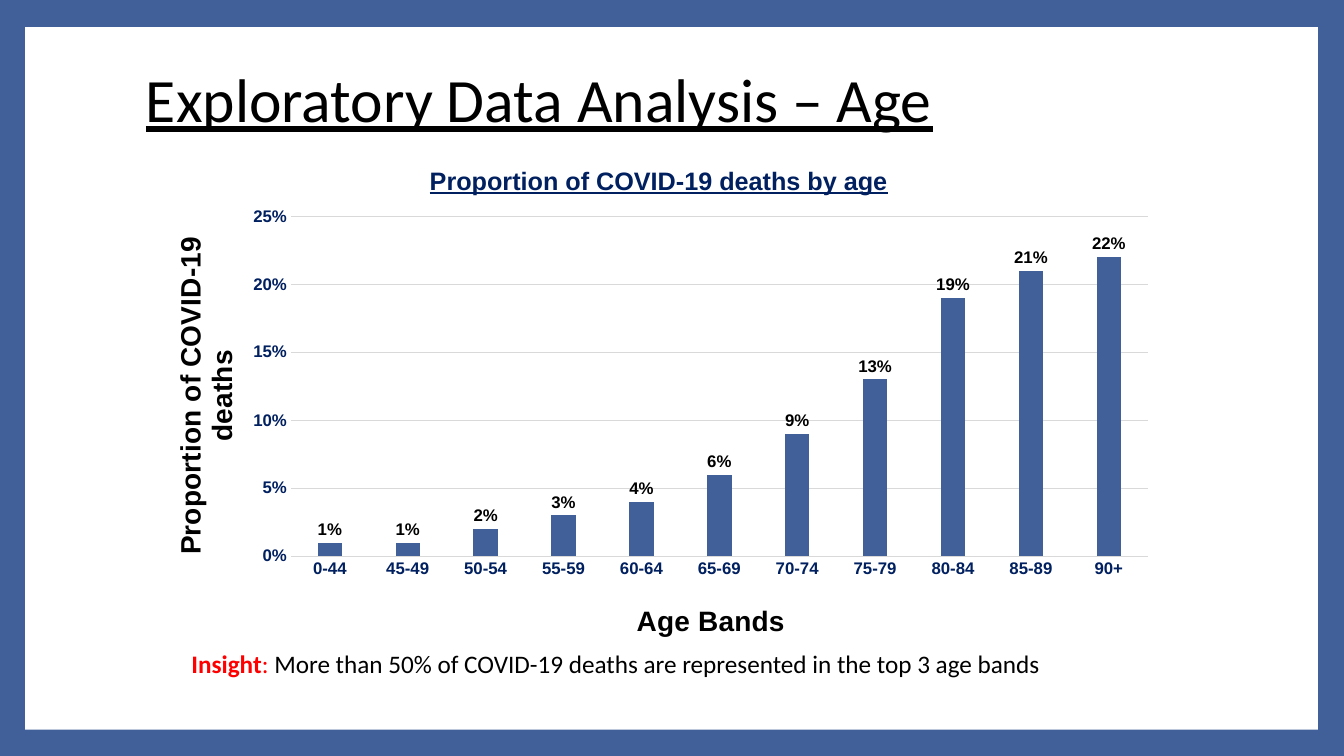
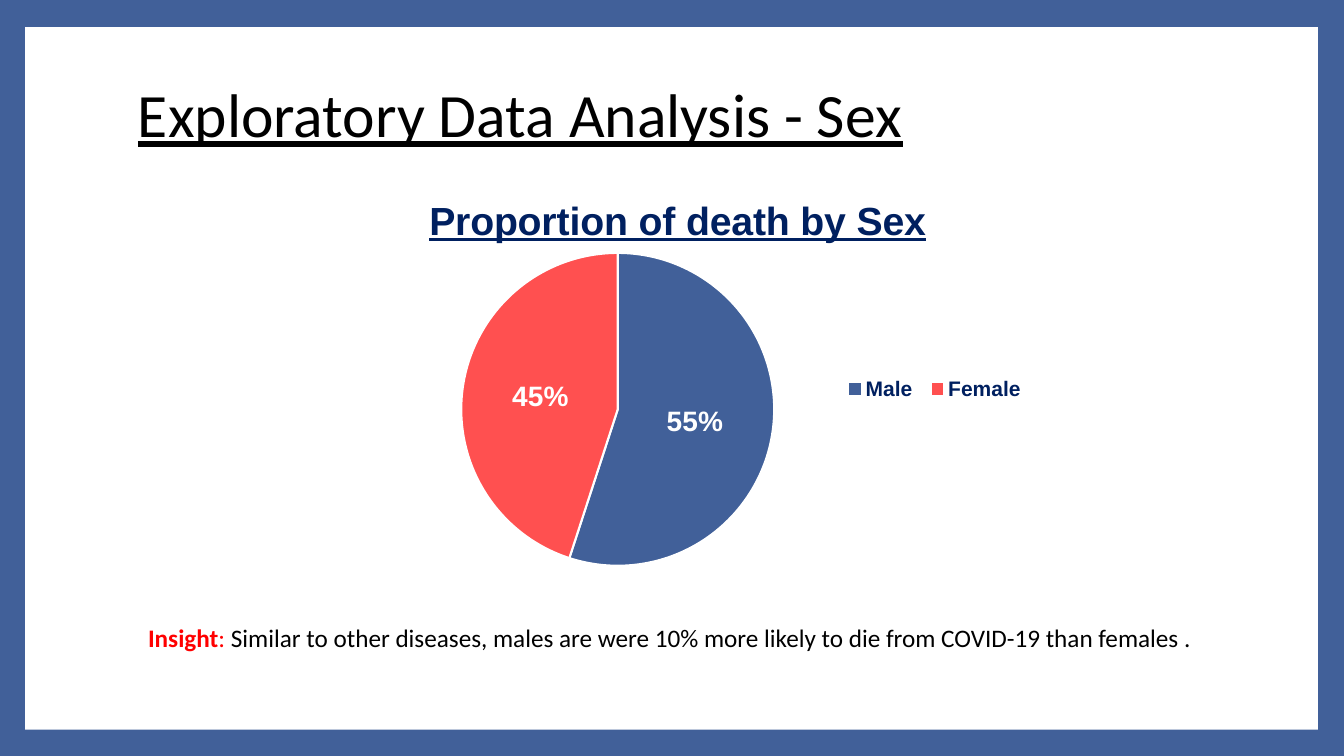
"""Build two slides on COVID-19 deaths by age and by sex."""
from lxml import etree
from pptx import Presentation
from pptx.chart.data import CategoryChartData
from pptx.dml.color import RGBColor
from pptx.enum.chart import XL_CHART_TYPE, XL_LABEL_POSITION, XL_LEGEND_POSITION, XL_TICK_MARK
from pptx.enum.shapes import MSO_SHAPE
from pptx.enum.text import MSO_ANCHOR, PP_ALIGN
from pptx.oxml.ns import qn
from pptx.util import Inches, Pt

COLUMN = XL_CHART_TYPE.COLUMN_CLUSTERED
PIE = XL_CHART_TYPE.PIE
OUTSIDE_END = XL_LABEL_POSITION.OUTSIDE_END
CENTER = XL_LABEL_POSITION.CENTER
LEGEND_RIGHT = XL_LEGEND_POSITION.RIGHT
NO_TICK = XL_TICK_MARK.NONE
RECTANGLE = MSO_SHAPE.RECTANGLE
MIDDLE = MSO_ANCHOR.MIDDLE
LEFT = PP_ALIGN.LEFT


class Theme:
    blue = RGBColor.from_string("416099")
    navy = RGBColor.from_string("002060")
    coral = RGBColor.from_string("FF5050")
    red = RGBColor.from_string("FF0000")
    grid = RGBColor.from_string("D9D9D9")
    black = RGBColor.from_string("000000")
    white = RGBColor.from_string("FFFFFF")
    text_face = "Calibri"
    chart_face = "Arial"
    title_size = 44
    insight_size = 18
    axis_title_size = 20
    label_size = 12
    pie_label_size = 20
    legend_size = 15


def write(para, text, size, color=Theme.black, face=Theme.text_face, bold=False, underline=False):
    span = para.add_run()
    span.text = text
    font = span.font
    font.size, font.name, font.bold, font.underline = Pt(size), face, bold, underline
    font.color.rgb = color


def place(element, index, **fractions):
    for old in element.findall(qn("c:layout")):
        element.remove(old)
    layout = etree.Element(qn("c:layout"))
    manual = etree.SubElement(layout, qn("c:manualLayout"))
    if element.tag == qn("c:plotArea"):
        etree.SubElement(manual, qn("c:layoutTarget"), val="inner")
    for mode in ("xMode", "yMode"):
        etree.SubElement(manual, qn(f"c:{mode}"), val="edge")
    for key, value in fractions.items():
        etree.SubElement(manual, qn(f"c:{key}"), val=str(value))
    element.insert(index, layout)


pages = [
    {
        "title": "Exploratory Data Analysis – Age",
        "title_at": (1.35, 0.28),
        "chart_at": (1.35, 1.38, 10.24, 5.11),
        "kind": COLUMN,
        "categories": ["0-44", "45-49", "50-54", "55-59", "60-64", "65-69",
                       "70-74", "75-79", "80-84", "85-89", "90+"],
        "values": [0.01, 0.01, 0.02, 0.03, 0.04, 0.06, 0.09, 0.13, 0.19, 0.21, 0.22],
        "chart_title": "Proportion of COVID-19 deaths by age",
        "chart_title_size": 18,
        "chart_title_place": {"x": 0.28, "y": 0.04},
        "plot_place": {"x": 0.15, "y": 0.15, "w": 0.83, "h": 0.66},
        "label_size": Theme.label_size,
        "label_color": Theme.black,
        "label_position": OUTSIDE_END,
        "insight": "More than 50% of COVID-19 deaths are represented in the top 3 age bands",
        "insight_at": (1.8, 6.32, 9.74, 0.53),
    },
    {
        "title": "Exploratory Data Analysis - Sex",
        "title_at": (1.27, 0.43),
        "chart_at": (2.79, 1.71, 7.76, 4.09),
        "kind": PIE,
        "categories": ["Male", "Female"],
        "values": [55, 45],
        "chart_title": "Proportion of death by Sex",
        "chart_title_size": 28,
        "chart_title_place": {"x": 0.18, "y": 0.04},
        "plot_place": {"x": 0.23, "y": 0.19, "w": 0.4, "h": 0.77},
        "label_size": Theme.pie_label_size,
        "label_color": Theme.white,
        "label_position": CENTER,
        "insight": "Similar to other diseases, males are were 10% more likely to die "
                   "from COVID-19 than females .",
        "insight_at": (1.37, 5.79, 11.13, 1.06),
    },
]

deck = Presentation()
deck.slide_width, deck.slide_height = Inches(13.33), Inches(7.5)
blank = deck.slide_layouts[6]
charts = []

for content in pages:
    page = deck.slides.add_slide(blank)
    page.background.fill.solid()
    page.background.fill.fore_color.rgb = Theme.blue

    panel = page.shapes.add_shape(RECTANGLE, Inches(0.25), Inches(0.27), Inches(12.82), Inches(6.97))

    left, top = content["title_at"]
    title = page.shapes.add_textbox(Inches(left), Inches(top), Inches(10.8), Inches(1.48))
    title.text_frame.word_wrap = True
    title.text_frame.vertical_anchor = MIDDLE
    para = title.text_frame.paragraphs[0]
    para.line_spacing = 0.9
    write(para, content["title"], Theme.title_size, underline=True)

    data = CategoryChartData()
    data.categories = content["categories"]
    data.add_series("Series 1", content["values"])
    chart_at = [Inches(length) for length in content["chart_at"]]
    chart = page.shapes.add_chart(content["kind"], *chart_at, data).chart
    charts.append(chart)
    chart.font.name, chart.font.size = Theme.chart_face, Pt(10)
    chart.font.color.rgb = Theme.black
    chart.has_legend = False
    chart.has_title = True
    write(chart.chart_title.text_frame.paragraphs[0], content["chart_title"],
          content["chart_title_size"], Theme.navy, Theme.chart_face, bold=True, underline=True)
    chart.chart_title.include_in_layout = False
    place(chart.chart_title._element, 1, **content["chart_title_place"])
    plot = chart.plots[0]
    place(plot._element.getparent(), 0, **content["plot_place"])
    plot.has_data_labels = True
    labels = plot.data_labels
    labels.number_format, labels.number_format_is_linked = "0%", False
    labels.position = content["label_position"]
    labels.show_value = content["kind"] == COLUMN
    labels.show_percentage = content["kind"] == PIE
    labels.font.name, labels.font.bold = Theme.chart_face, True
    labels.font.size = Pt(content["label_size"])
    labels.font.color.rgb = content["label_color"]

    insight_at = [Inches(length) for length in content["insight_at"]]
    insight = page.shapes.add_shape(RECTANGLE, *insight_at)
    insight.text_frame.word_wrap = True
    insight.text_frame.vertical_anchor = MIDDLE
    para = insight.text_frame.paragraphs[0]
    para.alignment = LEFT
    write(para, "Insight", Theme.insight_size, Theme.red, bold=True)
    write(para, ": ", Theme.insight_size, Theme.red)
    write(para, content["insight"], Theme.insight_size)

    for box in (panel, insight):
        box.shadow.inherit = False
        box.fill.solid()
        box.fill.fore_color.rgb = Theme.white
        box.line.fill.background()

age_chart, sex_chart = charts

columns = age_chart.plots[0]
columns.gap_width, columns.overlap = 219, -27
columns.vary_by_categories = False
columns.series[0].format.fill.solid()
columns.series[0].format.fill.fore_color.rgb = Theme.blue

age_axis, share_axis = age_chart.category_axis, age_chart.value_axis
axis_titles = [
    (age_axis, "Age Bands", {"x": 0.48, "y": 0.89}),
    (share_axis, "Proportion of COVID-19 deaths", {"x": 0.03, "y": 0.18}),
]
for axis, text, position in axis_titles:
    axis.major_tick_mark = axis.minor_tick_mark = NO_TICK
    axis.tick_labels.font.name = Theme.chart_face
    axis.tick_labels.font.size = Pt(Theme.label_size)
    axis.tick_labels.font.bold = True
    axis.tick_labels.font.color.rgb = Theme.navy
    axis.has_title = True
    frame = axis.axis_title.text_frame
    write(frame.paragraphs[0], text, Theme.axis_title_size, face=Theme.chart_face, bold=True)
    place(axis.axis_title._element, 1, **position)

share_axis.axis_title.text_frame._txBody.bodyPr.set("rot", "-5400000")
share_axis.minimum_scale, share_axis.maximum_scale, share_axis.major_unit = 0, 0.25, 0.05
share_axis.tick_labels.number_format = "0%"
share_axis.tick_labels.number_format_is_linked = False
share_axis.has_major_gridlines = True
share_axis.format.line.fill.background()
for line in (age_axis.format.line, share_axis.major_gridlines.format.line):
    line.color.rgb = Theme.grid
    line.width = Pt(0.75)

pie = sex_chart.plots[0]
pie.vary_by_categories = True
for index, color in enumerate((Theme.blue, Theme.coral)):
    slice_format = pie.series[0].points[index].format
    slice_format.fill.solid()
    slice_format.fill.fore_color.rgb = color
    slice_format.line.color.rgb = Theme.white
    slice_format.line.width = Pt(1.5)

sex_chart.has_legend = True
legend = sex_chart.legend
legend.position = LEGEND_RIGHT
legend.include_in_layout = False
legend.font.name, legend.font.size = Theme.chart_face, Pt(Theme.legend_size)
legend.font.bold = True
legend.font.color.rgb = Theme.navy
place(legend._element, 1, x=0.71, y=0.48, w=0.25, h=0.09)

deck.save("out.pptx")
